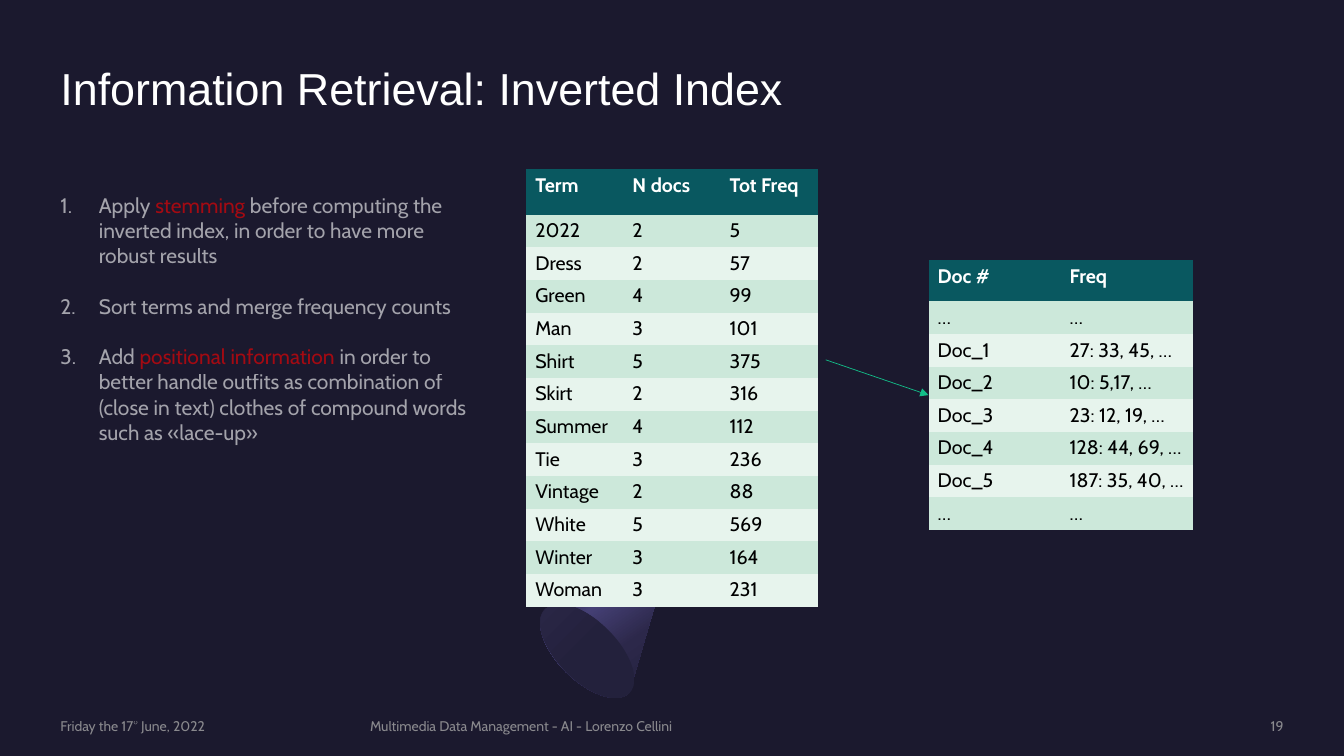
import math

from lxml import etree
from pptx import Presentation
from pptx import util as u
from pptx.dml.color import RGBColor
from pptx.enum import shapes, text
from pptx.oxml import parse_xml
from pptx.oxml.ns import nsdecls, qn

Inches = u.Inches
COLORS = {
    "background": "1B192E", "white": "FFFFFF", "black": "000000",
    "red": "FF0000", "footer": "A6A6A6", "header": "095860",
    "band_dark": "CCE8DA", "band_light": "E7F4ED", "arrow": "13BE89",
    "cone_dark": "2C284A", "cone_light": "454075", "cone_base": "23213C",
}
NO_GRID = "{2D5ABB26-0587-4C30-8999-92F81FD0307C}"

STEPS = [
    [("Apply ", "white"), ("stemming ", "red"),
     ("before computing the inverted index, in order to have more robust results", "white")],
    [("Sort terms and merge frequency counts", "white")],
    [("Add ", "white"), ("positional information ", "red"),
     ("in order to better handle outfits as combination of (close in text) "
      "clothes of compound words such as «lace-up»", "white")],
]
TERMS = [
    ("Term", "N docs", "Tot Freq"),
    ("2022", "2", "5"),
    ("Dress", "2", "57"),
    ("Green", "4", "99"),
    ("Man", "3", "101"),
    ("Shirt", "5", "375"),
    ("Skirt", "2", "316"),
    ("Summer", "4", "112"),
    ("Tie", "3", "236"),
    ("Vintage", "2", "88"),
    ("White", "5", "569"),
    ("Winter", "3", "164"),
    ("Woman", "3", "231"),
]
POSTINGS = [
    ("Doc #", "Freq"),
    ("…", "…"),
    ("Doc_1", "27: 33, 45, …"),
    ("Doc_2", "10: 5,17, …"),
    ("Doc_3", "23: 12, 19, …"),
    ("Doc_4", "128: 44, 69, …"),
    ("Doc_5", "187: 35, 40, …"),
    ("…", "…"),
]


def rgb(name):
    return RGBColor.from_string(COLORS[name])


def format_run(r, size, color, font="Cabin", bold=False, opacity=100):
    r.font.size, r.font.name, r.font.bold = u.Pt(size), font, bold
    r.font.color.rgb = rgb(color)
    if opacity < 100:
        clr = r._r.rPr.find(".//" + qn("a:srgbClr"))
        etree.SubElement(clr, qn("a:alpha"), val=str(opacity * 1000))


def place(sp, left, top, width, height):
    sp.left, sp.top = Inches(left), Inches(top)
    sp.width, sp.height = Inches(width), Inches(height)


def prepare_frame(sp, anchor):
    tf = sp.text_frame
    tf.margin_left = tf.margin_top = tf.margin_right = tf.margin_bottom = 0
    tf.word_wrap, tf.auto_size = True, text.MSO_AUTO_SIZE.NONE
    tf.vertical_anchor = anchor
    return tf


def fill_gradient(sp, stops, angle):
    sp.shadow.inherit = False
    sp.line.fill.background()
    sp.fill.background()
    gs = "".join(f'<a:gs pos="{pos * 1000}"><a:srgbClr val="{COLORS[c]}"/></a:gs>'
                 for pos, c in stops)
    grad = parse_xml(f'<a:gradFill {nsdecls("a")} rotWithShape="1"><a:gsLst>{gs}</a:gsLst>'
                     f'<a:lin ang="{angle * 60000}" scaled="0"/></a:gradFill>')
    spPr = sp._element.spPr
    spPr.replace(spPr.find(qn("a:noFill")), grad)


def add_cone(slide):
    center_x, base_y, radius_x, radius_y, steps = 6.1, 6.57, 0.59, 0.3, 24
    arc = [(center_x + radius_x * math.cos(math.pi * i / steps),
            base_y + radius_y * math.sin(math.pi * i / steps)) for i in range(steps + 1)]
    builder = slide.shapes.build_freeform(Inches(center_x), Inches(5.49))
    builder.add_line_segments([(Inches(x), Inches(y)) for x, y in arc], close=True)
    cone = builder.convert_to_shape()
    cone.rotation = 45
    fill_gradient(cone, [(30, "cone_dark"), (40, "cone_light"),
                         (60, "cone_dark"), (100, "background")], 10)
    base = slide.shapes.add_shape(shapes.MSO_SHAPE.OVAL, Inches(5.53), Inches(5.87),
                                  Inches(0.59), Inches(1.18))
    base.rotation = 135
    fill_gradient(base, [(50, "cone_base"), (100, "cone_dark")], 90)


def add_title(slide, title):
    sp = slide.shapes.title
    place(sp, 0.6, 0.6, 12.13, 1.08)
    p = prepare_frame(sp, text.MSO_ANCHOR.TOP).paragraphs[0]
    p.text = title
    p.alignment = text.PP_ALIGN.LEFT
    format_run(p.runs[0], 32, "white", "Arial")


def add_steps(slide, steps):
    sp = slide.placeholders[1]
    place(sp, 0.6, 1.91, 4.1, 2.67)
    tf = prepare_frame(sp, text.MSO_ANCHOR.TOP)
    for i, parts in enumerate(steps):
        p = tf.add_paragraph() if i else tf.paragraphs[0]
        p.space_before, p.space_after = u.Pt(10 if i else 0), u.Pt(8)
        pPr = p._p.get_or_add_pPr()
        pPr.set("marL", str(Inches(0.38)))
        pPr.set("indent", str(-Inches(0.38)))
        etree.SubElement(pPr, qn("a:buFont"), typeface="Cabin")
        etree.SubElement(pPr, qn("a:buAutoNum"), type="arabicPeriod")
        for words, color in parts:
            r = p.add_run()
            r.text = words
            format_run(r, 15, color, opacity=60)


def add_index_table(slide, rows, left, top, width, height, header_height):
    frame = slide.shapes.add_table(len(rows), len(rows[0]), Inches(left), Inches(top),
                                   Inches(width), Inches(height))
    table = frame.table
    table._tbl.tblPr.find(qn("a:tableStyleId")).text = NO_GRID
    row_height = Inches((height - header_height) / (len(rows) - 1))
    for i, values in enumerate(rows):
        table.rows[i].height = row_height if i else Inches(header_height)
        band = ("band_dark" if i % 2 else "band_light") if i else "header"
        for j, value in enumerate(values):
            cell = table.cell(i, j)
            cell.fill.solid()
            cell.fill.fore_color.rgb = rgb(band)
            cell.margin_left = cell.margin_right = Inches(0.09)
            cell.margin_top = cell.margin_bottom = Inches(0.04)
            cell.text_frame.text = value
            format_run(cell.text_frame.paragraphs[0].runs[0], 14,
                       "black" if i else "white", bold=i == 0)
    return frame


def add_arrow(slide, left, top, target):
    line = slide.shapes.add_connector(shapes.MSO_CONNECTOR.STRAIGHT, Inches(left),
                                      Inches(top), target.left, target.top)
    line.end_connect(target, 1)
    line.line.color.rgb, line.line.width = rgb("arrow"), u.Pt(0.5)
    etree.SubElement(line.line._get_or_add_ln(), qn("a:tailEnd"), type="triangle")
    etree.SubElement(line._element.spPr, qn("a:effectLst"))


def add_footer(slide, words, left, width, align=text.PP_ALIGN.LEFT):
    sp = slide.shapes.add_textbox(Inches(left), Inches(7.12), Inches(width), Inches(0.17))
    p = prepare_frame(sp, text.MSO_ANCHOR.MIDDLE).paragraphs[0]
    p.text = words
    p.alignment = align
    format_run(p.runs[0], 10, "footer", opacity=80)


def main():
    prs = Presentation()
    prs.slide_width, prs.slide_height = Inches(13.33), Inches(7.5)
    slide = prs.slides.add_slide(prs.slide_layouts[1])
    slide.background.fill.solid()
    slide.background.fill.fore_color.rgb = rgb("background")
    add_cone(slide)
    add_title(slide, "Information Retrieval: Inverted Index")
    add_steps(slide, STEPS)
    add_index_table(slide, TERMS, 5.22, 1.68, 2.89, 4.34, 0.45)
    postings = add_index_table(slide, POSTINGS, 9.21, 2.58, 2.62, 2.68, 0.41)
    add_arrow(slide, 8.19, 3.57, postings)
    add_footer(slide, "Friday the 17° June, 2022", 0.6, 2.88)
    add_footer(slide, "Multimedia Data Management - AI - Lorenzo Cellini", 3.67, 6.98)
    add_footer(slide, "19", 10.88, 1.85, text.PP_ALIGN.RIGHT)
    prs.save("out.pptx")


if __name__ == "__main__":
    main()
